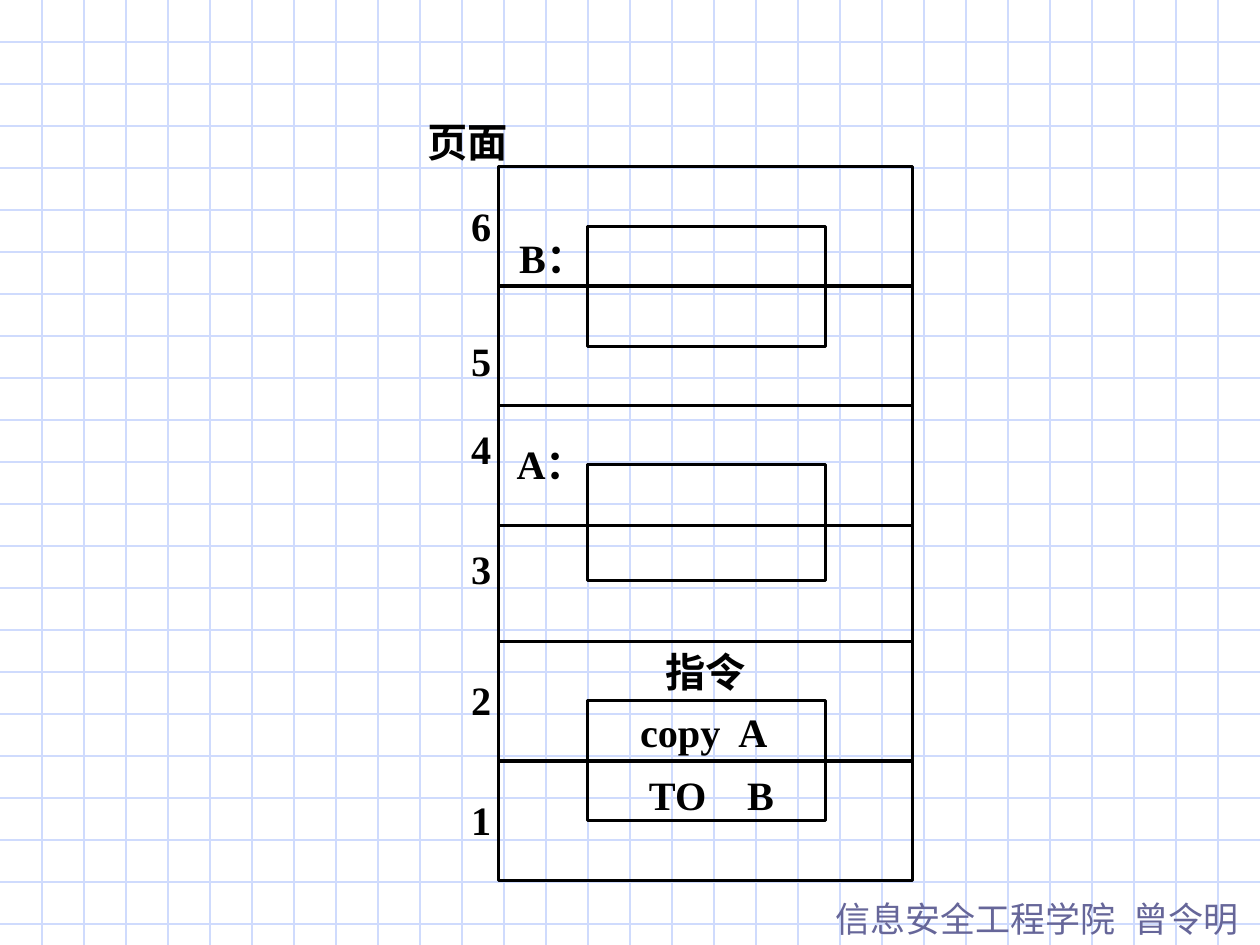
"""Build a slide showing a copy instruction and its operands crossing page boundaries."""
from itertools import pairwise

from lxml.etree import SubElement
from pptx import Presentation
from pptx.dml.color import RGBColor
from pptx.enum.shapes import MSO_CONNECTOR as Connector, MSO_SHAPE as Shape
from pptx.oxml.ns import qn
from pptx.util import Inches, Pt

BLACK = RGBColor(0x00, 0x00, 0x00)
GRID_BLUE = RGBColor(0xCF, 0xDB, 0xFD)
FOOTER_VIOLET = RGBColor(0x66, 0x66, 0x99)
SERIF, CJK, FOOTER_FONT = "Times New Roman", "Noto Sans CJK SC", "Noto Sans CJK JP"

deck = Presentation()
deck.slide_width, deck.slide_height = Inches(10), Inches(7.5)
page = deck.slides.add_slide(deck.slide_layouts[6])


def add_frame(left, top, width, height):
    frame = page.shapes.add_shape(
        Shape.RECTANGLE, Inches(left), Inches(top), Inches(width), Inches(height))
    frame.shadow.inherit = False
    frame.fill.background()
    frame.line.color.rgb = BLACK
    frame.line.width = Pt(1.75)


def add_label(text, left, top, width, height=0.38, latin=SERIF, asian=CJK,
              size=23, color=BLACK, bold=True, inset=(0, 0), tab=None):
    box = page.shapes.add_textbox(Inches(left), Inches(top), Inches(width), Inches(height))
    body = box.text_frame
    body.word_wrap = False
    body.margin_left = body.margin_right = Inches(inset[0])
    body.margin_top = body.margin_bottom = Inches(inset[1])
    para = body.paragraphs[0]
    para.text = text
    if tab:
        stops = SubElement(para._p.get_or_add_pPr(), qn("a:tabLst"))
        SubElement(stops, qn("a:tab"), pos=str(Inches(tab)), algn="l")
    font = para.font
    font.name, font.size, font.bold = latin, Pt(size), bold
    font.color.rgb = color
    SubElement(font._element, qn("a:ea"), typeface=asian)


cell = deck.slide_width / 30
rows = [(0, round(cell * n), deck.slide_width, round(cell * n)) for n in range(1, 23)]
columns = [(round(cell * n), 0, round(cell * n), deck.slide_height) for n in range(1, 30)]
for ends in rows + columns:
    rule = page.shapes.add_connector(Connector.STRAIGHT, *ends)
    rule.line.color.rgb = GRID_BLUE
    rule.line.width = Pt(0.75)
    SubElement(rule._element.spPr, qn("a:effectLst"))

add_label("信息安全工程学院\t曾令明", 6.53, 7.07, 3.47, 0.44, FOOTER_FONT, FOOTER_FONT,
          20, FOOTER_VIOLET, False, (0.1, 0.05), 2.37)

page_edges = [1.32, 2.27, 3.22, 4.17, 5.09, 6.04, 6.99]
for top, bottom in pairwise(page_edges):
    add_frame(3.96, top, 3.28, bottom - top)

for top, height in [(1.8, 0.95), (3.69, 0.92), (5.56, 0.95)]:
    add_frame(4.66, top, 1.89, height)

add_label("页面", 3.39, 0.93, 0.64, latin=CJK)
add_label("B：", 4.12, 1.85, 0.61)
add_label("A：", 4.1, 3.49, 0.63)
for number, top in zip("654321", [1.6, 2.67, 3.37, 4.32, 5.36, 6.31]):
    add_label(number, 3.74, top, 0.16)
add_label("指令", 5.28, 5.14, 0.64, latin=CJK)
add_label("copy\tA", 5.08, 5.61, 1.03, tab=0.78)
add_label("TO\tB", 5.15, 6.11, 1, tab=0.78)

deck.save("out.pptx")
